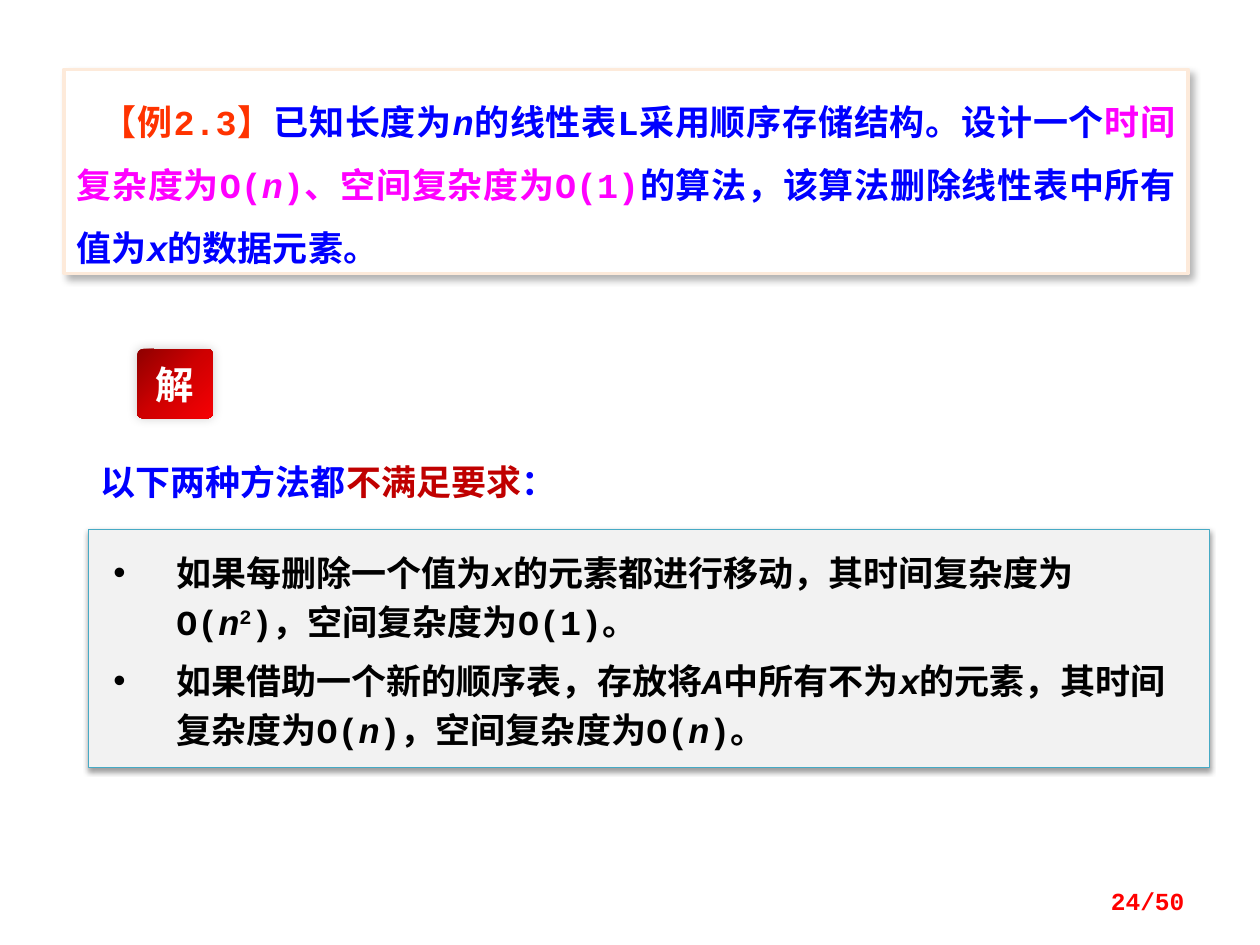
from copy import deepcopy

from lxml import etree
from pptx import Presentation
from pptx.dml.color import RGBColor
from pptx.enum.shapes import MSO_SHAPE as SHAPE
from pptx.enum.text import MSO_ANCHOR as ANCHOR, PP_ALIGN as ALIGN
from pptx.oxml.ns import qn
from pptx.util import Inches, Pt

WHITE = RGBColor(0xFF, 0xFF, 0xFF)
BLACK = RGBColor(0x00, 0x00, 0x00)
BLUE = RGBColor(0x00, 0x00, 0xFF)
MAGENTA = RGBColor(0xFF, 0x00, 0xFF)
ORANGE = RGBColor(0xFF, 0x33, 0x00)
RED = RGBColor(0xFF, 0x00, 0x00)
DARK_RED = RGBColor(0xC0, 0x00, 0x00)
PEACH = RGBColor(0xFD, 0xEA, 0xDA)
GREY = RGBColor(0xF2, 0xF2, 0xF2)
TEAL = RGBColor(0x46, 0xAA, 0xC5)
BUTTON_REDS = [RGBColor(0x8F, 0x00, 0x00), RGBColor(0xCF, 0x00, 0x01),
               RGBColor(0xF6, 0x00, 0x04)]
MONO = "Courier New"
CJK = "Noto Sans CJK SC"


def write(sp, paragraphs, size=20, font=MONO, align=ALIGN.LEFT, anchor=ANCHOR.TOP,
          wrap=True, spacing=None, gap=0, left=0, first=0, bullet=None,
          insets=(0.1, 0.05, 0.1, 0.05)):
    """Fill a shape with paragraphs of (text, colour, style); style is "", "i" or "sup"."""
    tf = sp.text_frame
    tf.word_wrap = wrap
    tf.vertical_anchor = anchor
    (tf.margin_left, tf.margin_top,
     tf.margin_right, tf.margin_bottom) = [Inches(v) for v in insets]
    for i, runs in enumerate(paragraphs):
        p = tf.add_paragraph() if i else tf.paragraphs[0]
        p.alignment = align
        if i:
            p.space_before = Pt(gap)
        if spacing:
            p.line_spacing = Pt(spacing)
        pPr = p._p.get_or_add_pPr()
        pPr.set("marL", str(Inches(left)))
        pPr.set("indent", str(Inches(first)))
        if bullet:
            etree.SubElement(pPr, qn("a:buFont"), typeface="Arial")
            etree.SubElement(pPr, qn("a:buChar"), char=bullet)
        for text, colour, style in runs:
            r = p.add_run()
            r.text = text
            r.font.size = Pt(size)
            r.font.name = font
            r.font.bold = True
            r.font.italic = style == "i"
            r.font.color.rgb = colour
            rPr = r._r.get_or_add_rPr()
            etree.SubElement(rPr, qn("a:ea"), typeface=CJK)
            if style == "sup":
                rPr.set("baseline", "30000")


def add_shadow(sp, alpha, blur, dist, angle):
    sp.shadow.inherit = False
    effects = sp._element.spPr.find(qn("a:effectLst"))
    shadow = etree.SubElement(effects, qn("a:outerShdw"), blurRad=str(Pt(blur)),
                              dist=str(Pt(dist)), dir=str(angle * 60000),
                              algn="ctr", rotWithShape="0")
    colour = etree.SubElement(shadow, qn("a:srgbClr"), val=str(BLACK))
    etree.SubElement(colour, qn("a:alpha"), val=str(alpha * 1000))


prs = Presentation()
prs.slide_width, prs.slide_height = Inches(10), Inches(7.5)
slide = prs.slides.add_slide(prs.slide_layouts[6])
shapes = slide.shapes

# Problem statement and the two rejected methods
problem = shapes.add_shape(SHAPE.RECTANGLE, Inches(0.51), Inches(0.55),
                           Inches(8.92), Inches(1.62))
methods = shapes.add_shape(SHAPE.RECTANGLE, Inches(0.7), Inches(4.2),
                           Inches(8.9), Inches(1.89))
for sp, fill, line, width, shadow in [
    (problem, WHITE, PEACH, 2, (30, 4.5, 2.6, 53)),
    (methods, GREY, TEAL, 0.75, (38, 3.1, 1.6, 90)),
]:
    sp.fill.solid()
    sp.fill.fore_color.rgb = fill
    sp.line.color.rgb = line
    sp.line.width = Pt(width)
    add_shadow(sp, *shadow)

write(problem, [[
    ("【例2.3】", ORANGE, ""),
    ("已知长度为", BLUE, ""),
    ("n", BLUE, "i"),
    ("的线性表L采用顺序存储结构。设计一个", BLUE, ""),
    ("时间复杂度为O(", MAGENTA, ""),
    ("n", MAGENTA, "i"),
    (")、空间复杂度为O(1)", MAGENTA, ""),
    ("的算法，该算法删除线性表中所有值为", BLUE, ""),
    ("x", BLUE, "i"),
    ("的数据元素。", BLUE, ""),
]], align=ALIGN.JUSTIFY, spacing=36, first=0.2, insets=(0.1, 0.08, 0.1, 0))

write(methods, [
    [("如果每删除一个值为", BLACK, ""),
     ("x", BLACK, "i"),
     ("的元素都进行移动，其时间复杂度为O(", BLACK, ""),
     ("n", BLACK, "i"),
     ("2", BLACK, "sup"),
     (")，空间复杂度为O(1)。", BLACK, "")],
    [("如果借助一个新的顺序表，存放将", BLACK, ""),
     ("A", BLACK, "i"),
     ("中所有不为", BLACK, ""),
     ("x", BLACK, "i"),
     ("的元素，其时间复杂度为O(", BLACK, ""),
     ("n", BLACK, "i"),
     (")，空间复杂度为O(", BLACK, ""),
     ("n", BLACK, "i"),
     (")。", BLACK, "")],
], spacing=28, gap=6, left=0.5, first=-0.5, bullet="•", insets=(0.2, 0.12, 0.1, 0.12))

lead_in = shapes.add_textbox(Inches(0.7), Inches(3.6), Inches(6.14), Inches(0.44))
write(lead_in, [[
    ("以下两种方法都", BLUE, ""),
    ("不满足要求", DARK_RED, ""),
    ("：", BLUE, ""),
]], anchor=ANCHOR.MIDDLE)

# Solution button
button = shapes.add_shape(SHAPE.ROUNDED_RECTANGLE, Inches(1.09), Inches(2.77),
                          Inches(0.6), Inches(0.55))
button.adjustments[0] = 0.08
button.line.fill.background()
button.fill.gradient()
button.fill.gradient_angle = 315
first_stop = button._element.spPr.find(".//" + qn("a:gs"))
first_stop.addnext(deepcopy(first_stop))
for i, stop in enumerate(button.fill.gradient_stops):
    stop.position = i / 2
    stop.color.rgb = BUTTON_REDS[i]
add_shadow(button, 20, 6, 0, 225)
write(button, [[("解", WHITE, "")]], size=22, font=CJK, align=ALIGN.CENTER,
      anchor=ANCHOR.MIDDLE, wrap=False)

page_number = shapes.add_textbox(Inches(7.17), Inches(6.95), Inches(2.33), Inches(0.4))
write(page_number, [[("24/50", RED, "")]], size=14, align=ALIGN.RIGHT,
      anchor=ANCHOR.MIDDLE)

prs.save("out.pptx")
